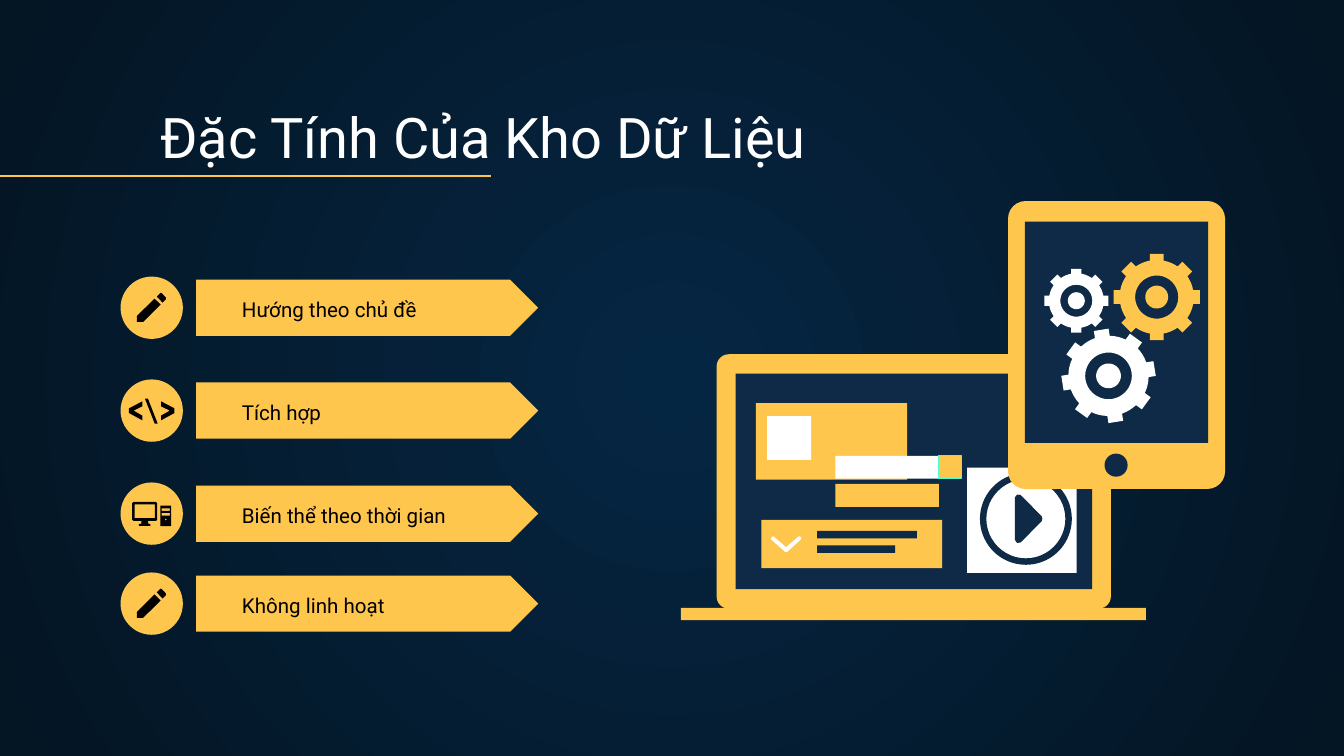
"""Build the slide on the traits of a data warehouse."""
from math import cos, pi, radians, sin

from lxml.etree import SubElement
from pptx import Presentation
from pptx.dml.color import RGBColor
from pptx.enum.shapes import MSO_CONNECTOR, MSO_SHAPE
from pptx.enum.text import MSO_ANCHOR
from pptx.oxml.ns import qn
from pptx.util import Pt

COLORS = {
    "glow": "052643", "edge": "041523", "yellow": "FFC64E", "navy": "0E2A47",
    "white": "FFFFFF", "black": "000000", "mint": "48FFD5",
}
FONT = "Roboto"
TITLE = "Đặc Tính Của Kho Dữ Liệu"
TRAITS = [
    ("Hướng theo chủ đề", "pencil", 164.9),
    ("Tích hợp", "code", 220),
    ("Biến thể theo thời gian", "computer", 275.2),
    ("Không linh hoạt", "pencil", 323.4),
]
ICON_CENTER, ICON_SIZE = 81.3, 33.4
ARROW_LEFT, ARROW_WIDTH, ARROW_HEIGHT = 105.1, 183.2, 30.1


def rectangle(left, top, right, bottom):
    return [(left, top), (right, top), (right, bottom), (left, bottom)]


BRACKET = [(-5, 5.2), (-12.2, 1.3), (-12.2, -1.2), (-5, -5), (-5, -2.3), (-9.7, 0), (-5, 2.7)]
ICONS = {
    "pencil": [[
        [(4.7, -8), (2.7, -6), (5.8, -2.7), (7.6, -4.5), (7.6, -5.4), (5.3, -7.9)],
        [(1.5, -4.9), (-7.9, 4.4), (-7.9, 7.6), (-4.6, 7.6), (4.8, -1.7)],
    ]],
    "code": [
        [BRACKET],
        [[(1.6, 6.9), (-3.6, -6.4), (-2, -6.4), (3.2, 6.9)]],
        [[(-x, y) for x, y in BRACKET]],
    ],
    "computer": [
        [
            [(-9.8, -6.3), (2.2, -6.3), (2.9, -5.6), (2.9, 3.2), (2.2, 3.9), (-2, 3.9),
             (-2, 5.3), (-0.7, 5.6), (-0.7, 6.6), (-6.9, 6.6), (-6.9, 5.6), (-5.6, 5.3),
             (-5.6, 3.9), (-9.8, 3.9), (-10.5, 3.2), (-10.5, -5.6)],
            rectangle(-9.2, -5, 1.6, 2.4),
        ],
        [
            rectangle(4.6, -4.3, 10.4, 6.6),
            rectangle(5.3, -2.9, 9.7, -1.5),
            rectangle(5.3, -0.5, 9.7, 1),
            [(7.5, 2.5), (8.1, 3.1), (7.5, 3.7), (6.9, 3.1)],
        ],
    ],
}
LAPTOP = [
    ("yellow", 383.9, 189.8, 211.2, 136.3, 6.5),
    ("navy", 394.1, 200.1, 191, 115.5, 0),
    ("yellow", 364.8, 325.7, 249.1, 6.6, 0),
    ("yellow", 405, 216, 81, 41, 0),
    ("white", 411, 222.9, 23.6, 23.5, 0),
    ("yellow", 407.9, 278.6, 96.8, 25.8, 0),
    ("navy", 437.7, 284.4, 53.5, 4, 0),
    ("navy", 437.7, 292.1, 41.8, 4.1, 0),
    ("yellow", 447.5, 259.3, 55.5, 12.3, 0),
    ("white", 447.5, 244.2, 55.5, 12.3, 0),
    ("yellow", 502.7, 244.2, 12.3, 12.3, 0),
    ("white", 518.1, 250.6, 58.7, 56.3, 0),
]
LINED_TILE = 10
CHEVRON = [(413.3, 287.9), (414.3, 287.3), (421.1, 293.2), (428, 287.3), (429.3, 287.9),
           (429.1, 289), (421.7, 295.7), (420.6, 295.7), (413, 289)]
PLAY = [(544.9, 265), (546.8, 265.2), (558, 276.6), (558.4, 277.9), (558, 279.3),
        (546.8, 290.6), (544.9, 290.9), (543.7, 289.3), (543.7, 266.4)]
TABLET = [
    ("yellow", 540, 107.7, 116.3, 154.3, 9.5),
    ("navy", 549.1, 118.8, 98.1, 118.5, 0),
]
GEARS = [
    ("yellow", 619.7, 159.2, 23.1, 0),
    ("white", 576.6, 161.1, 17.1, 0),
    ("white", 593.9, 201.4, 25, -9),
]


def paint(shape, color):
    shape.shadow.inherit = False
    shape.fill.solid()
    shape.fill.fore_color.rgb = RGBColor.from_string(COLORS[color])
    shape.line.fill.background()
    return shape


def add_preset(page, kind, color, left, top, width, height, adjust=None):
    shape = page.shapes.add_shape(kind, Pt(left), Pt(top), Pt(width), Pt(height))
    if adjust is not None:
        shape.adjustments[0] = adjust
    return paint(shape, color)


def add_block(page, color, left, top, width, height, radius):
    if radius:
        return add_preset(page, MSO_SHAPE.ROUNDED_RECTANGLE, color, left, top, width, height,
                          radius / min(width, height))
    return add_preset(page, MSO_SHAPE.RECTANGLE, color, left, top, width, height)


def add_outline(page, color, contours, left=0, top=0):
    placed = [[(Pt(left + x), Pt(top + y)) for x, y in contour] for contour in contours]
    builder = page.shapes.build_freeform(*placed[0][0], scale=1.0)
    builder.add_line_segments(placed[0][1:], close=True)
    for contour in placed[1:]:
        builder.move_to(*contour[0])
        builder.add_line_segments(contour[1:], close=True)
    return paint(builder.convert_to_shape(), color)


def add_text(page, text, size, color, left, top, width, height):
    box = page.shapes.add_textbox(Pt(left), Pt(top), Pt(width), Pt(height))
    frame = box.text_frame
    frame.word_wrap = True
    frame.vertical_anchor = MSO_ANCHOR.BOTTOM
    frame.margin_left = frame.margin_right = Pt(7.2)
    frame.margin_top = frame.margin_bottom = Pt(7.2)
    span = frame.paragraphs[0].add_run()
    span.text = text
    span.font.name, span.font.size = FONT, Pt(size)
    span.font.color.rgb = RGBColor.from_string(COLORS[color])


def polar(radius, angle):
    return radius * cos(angle), radius * sin(angle)


def circle(radius, steps=48):
    return [polar(radius, 2 * pi * step / steps) for step in range(steps)]


def gear(radius, turn, teeth=8):
    body, half = radius * 0.86, radius * 0.16
    inner, outer = (body ** 2 - half ** 2) ** 0.5, radius
    gap = pi / teeth
    outline = []
    for tooth in range(teeth):
        angle = radians(turn) + 2 * gap * tooth
        for x, y in [(inner, -half), (outer, -half), (outer, half), (inner, half)]:
            outline.append((x * cos(angle) - y * sin(angle), x * sin(angle) + y * cos(angle)))
        outline += [polar(body, angle + gap + shift) for shift in (-0.1, 0, 0.1)]
    return [outline, circle(radius * 0.5), circle(radius * 0.265)]


def set_background(page):
    fill = page.background.fill
    fill.gradient()
    for stop, color in zip(fill.gradient_stops, ("glow", "edge")):
        stop.color.rgb = RGBColor.from_string(COLORS[color])
    gradient = page.element.find(".//" + qn("a:gradFill"))
    gradient.remove(gradient.find(qn("a:lin")))
    circular = SubElement(gradient, qn("a:path"), {"path": "circle"})
    SubElement(circular, qn("a:fillToRect"), dict.fromkeys("ltrb", "50000"))


def add_heading(page):
    add_text(page, TITLE, 30, "white", 78.8, 50.4, 617, 47.5)
    rule = page.shapes.add_connector(MSO_CONNECTOR.STRAIGHT, 0, Pt(94.3), Pt(263), Pt(94.3))
    rule.line.color.rgb = RGBColor.from_string(COLORS["yellow"])
    rule.line.width = Pt(0.75)
    SubElement(rule.element.spPr, qn("a:effectLst"))


def add_trait(page, text, icon, middle):
    add_preset(page, MSO_SHAPE.PENTAGON, "yellow", ARROW_LEFT, middle - ARROW_HEIGHT / 2,
               ARROW_WIDTH, ARROW_HEIGHT, 0.5)
    add_text(page, text, 11, "black", 122.5, middle - 0.8, 163.5, 15.1)
    add_preset(page, MSO_SHAPE.OVAL, "yellow", ICON_CENTER - ICON_SIZE / 2,
               middle - ICON_SIZE / 2, ICON_SIZE, ICON_SIZE)
    for contours in ICONS[icon]:
        add_outline(page, "black", contours, ICON_CENTER, middle)


def add_devices(page):
    blocks = [add_block(page, *block) for block in LAPTOP]
    blocks[LINED_TILE].line.color.rgb = RGBColor.from_string(COLORS["mint"])
    blocks[LINED_TILE].line.width = Pt(0.75)
    add_outline(page, "white", [CHEVRON])
    add_preset(page, MSO_SHAPE.DONUT, "navy", 525, 253.4, 49.2, 49.2, 0.07)
    add_outline(page, "navy", [PLAY])
    for block in TABLET:
        add_block(page, *block)
    add_preset(page, MSO_SHAPE.OVAL, "navy", 591.7, 243, 12.4, 12.4)
    for color, left, top, radius, turn in GEARS:
        add_outline(page, color, gear(radius, turn), left, top)


def main():
    deck = Presentation()
    deck.slide_width, deck.slide_height = Pt(720), Pt(405)
    page = deck.slides.add_slide(deck.slide_layouts[6])
    set_background(page)
    add_heading(page)
    for trait in TRAITS:
        add_trait(page, *trait)
    add_devices(page)
    deck.save("out.pptx")


if __name__ == "__main__":
    main()
